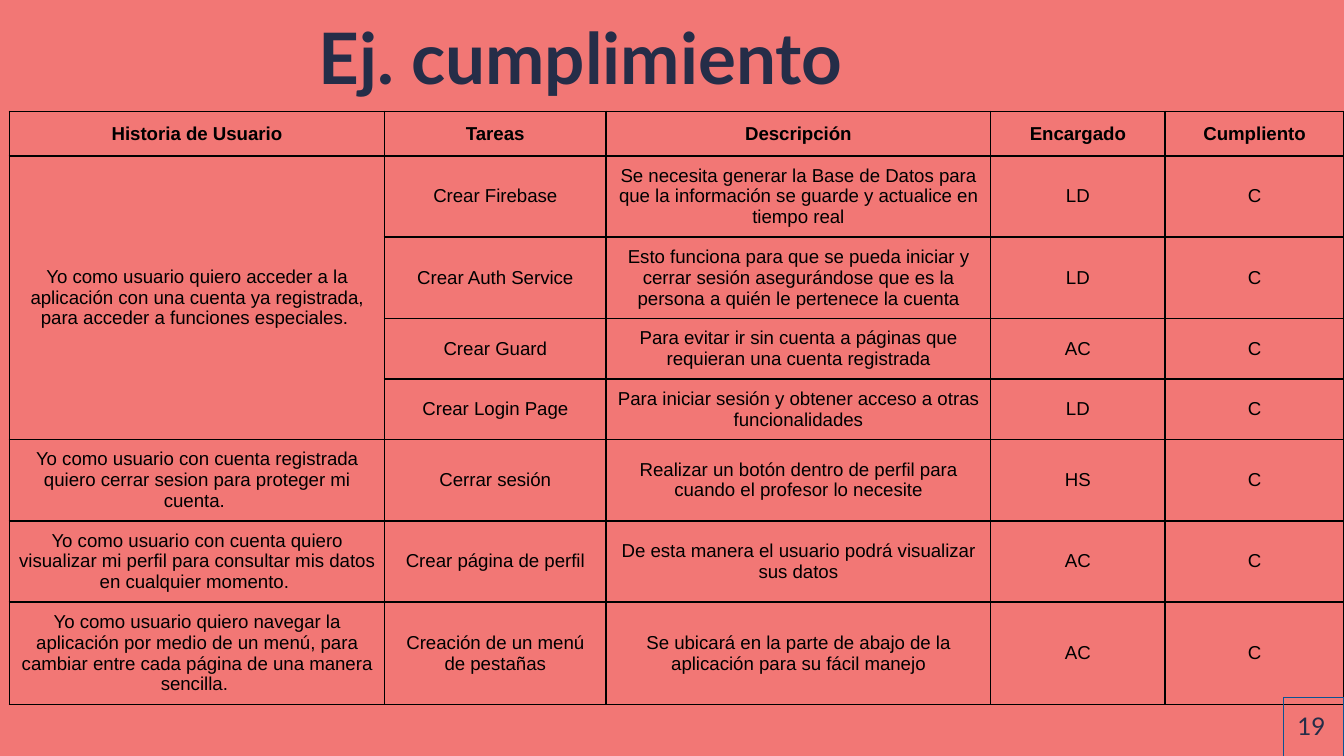
from dataclasses import dataclass

import lxml.etree
import pptx
import pptx.dml.color
import pptx.enum.shapes
import pptx.enum.text
import pptx.oxml.ns
import pptx.util

Inches = pptx.util.Inches
Align = pptx.enum.text.PP_ALIGN
Anchor = pptx.enum.text.MSO_ANCHOR

CORAL, NAVY, BLUE, BLACK = "F27775", "252D48", "0B5394", "000000"


@dataclass
class Task:
    story: str  # empty when the story above continues
    name: str
    description: str
    owner: str
    height: float
    status: str = "C"


HEADERS = ["Historia de Usuario", "Tareas", "Descripción", "Encargado", "Cumpliento"]
HEADER_HEIGHT = 0.33
COLUMN_WIDTHS = [2.79, 1.65, 2.86, 1.3, 1.33]
TASKS = [
    Task("Yo como usuario quiero acceder a la aplicación con una cuenta ya registrada, "
         "para acceder a funciones especiales. ",
         "Crear Firebase",
         "Se necesita generar la Base de Datos para que la información se guarde y "
         "actualice en tiempo real", "LD", 0.6),
    Task("", "Crear Auth Service",
         "Esto funciona para que se pueda iniciar y cerrar sesión asegurándose que es "
         "la persona a quién le pertenece la cuenta", "LD", 0.6),
    Task("", "Crear Guard",
         "Para evitar ir sin cuenta a páginas que requieran una cuenta registrada",
         "AC", 0.45),
    Task("", "Crear Login Page",
         "Para iniciar sesión y obtener acceso a otras funcionalidades", "LD", 0.45),
    Task("Yo como usuario con cuenta registrada quiero cerrar sesion para proteger mi "
         "cuenta. ",
         "Cerrar sesión",
         "Realizar un botón dentro de perfil para cuando el profesor lo necesite",
         "HS", 0.6),
    Task("Yo como usuario con cuenta quiero visualizar mi perfil para consultar mis "
         "datos en cualquier momento. ",
         "Crear página de perfil",
         "De esta manera el usuario podrá visualizar sus datos", "AC", 0.6),
    Task("Yo como usuario quiero navegar la aplicación por medio de un menú, para "
         "cambiar entre cada página de una manera sencilla. ",
         "Creación de un menú de pestañas",
         "Se ubicará en la parte de abajo de la aplicación para su fácil manejo",
         "AC", 0.76),
]


def color(value: str) -> pptx.dml.color.RGBColor:
    return pptx.dml.color.RGBColor.from_string(value)


def write(frame, text: str, size: float, font: str, ink: str, align, bold=False) -> None:
    frame.text = text
    para = frame.paragraphs[0]
    para.alignment = align
    for span in para.runs:
        span.font.size = pptx.util.Pt(size)
        span.font.name = font
        span.font.bold = bold
        span.font.color.rgb = color(ink)


def place(box, left: float, top: float, width: float, height: float) -> None:
    box.left, box.top = Inches(left), Inches(top)
    box.width, box.height = Inches(width), Inches(height)


def set_up_frame(frame) -> None:
    frame.word_wrap = True
    frame.auto_size = pptx.enum.text.MSO_AUTO_SIZE.NONE
    frame.vertical_anchor = Anchor.TOP
    frame.margin_left = frame.margin_right = Inches(0.1)
    frame.margin_top = frame.margin_bottom = Inches(0.1)


def add_borders(cell) -> None:
    qn = pptx.oxml.ns.qn
    properties = cell._tc.get_or_add_tcPr()
    for side in ("lnL", "lnR", "lnT", "lnB"):
        line = lxml.etree.SubElement(properties, qn(f"a:{side}"), w=str(pptx.util.Pt(1)))
        fill = lxml.etree.SubElement(line, qn("a:solidFill"))
        lxml.etree.SubElement(fill, qn("a:srgbClr"), val=BLACK)


def format_cell(cell, text: str, bold: bool) -> None:
    add_borders(cell)
    cell.fill.background()
    cell.vertical_anchor = Anchor.MIDDLE
    cell.margin_left = cell.margin_right = Inches(0.07)
    cell.margin_top = cell.margin_bottom = Inches(0.07)
    write(cell.text_frame, text, 10, "Arial", BLACK, Align.CENTER, bold)


def add_task_table(page) -> None:
    rows = [HEADERS] + [[t.story, t.name, t.description, t.owner, t.status] for t in TASKS]
    heights = [HEADER_HEIGHT] + [task.height for task in TASKS]
    table = page.shapes.add_table(
        len(rows), len(HEADERS), Inches(0.07), Inches(0.83),
        Inches(sum(COLUMN_WIDTHS)), Inches(sum(heights))).table
    table.first_row = table.horz_banding = False
    for column, width in zip(table.columns, COLUMN_WIDTHS):
        column.width = Inches(width)
    for i, (texts, height) in enumerate(zip(rows, heights)):
        table.rows[i].height = Inches(height)
        for j, text in enumerate(texts):
            format_cell(table.cell(i, j), text, bold=i == 0)

    # Each story spans the tasks that belong to it
    starts = [i for i, row in enumerate(rows) if row[0]] + [len(rows)]
    for start, end in zip(starts, starts[1:]):
        if end - start > 1:
            table.cell(start, 0).merge(table.cell(end - 1, 0))


def main() -> None:
    # Widescreen page, 16 to 9
    deck = pptx.Presentation()
    deck.slide_width = Inches(10)
    deck.slide_height = deck.slide_width * 9 // 16
    page = deck.slides.add_slide(deck.slide_layouts[5])
    page.background.fill.solid()
    page.background.fill.fore_color.rgb = color(CORAL)

    # Title
    title = page.shapes.title
    place(title, 2.27, 0, 6.58, 1.12)
    set_up_frame(title.text_frame)
    write(title.text_frame, "Ej. cumplimiento", 38, "Lato", NAVY, Align.LEFT, bold=True)

    add_task_table(page)

    # Page number with its corner frame
    corner = page.shapes.add_shape(
        pptx.enum.shapes.MSO_SHAPE.RECTANGLE,
        Inches(9.55), Inches(5.19), Inches(0.45), Inches(1.33))
    corner.shadow.inherit = False
    corner.fill.background()
    corner.line.color.rgb = color(BLUE)
    corner.line.width = pptx.util.Pt(0.75)

    number = page.shapes.add_textbox(Inches(9.36), Inches(5.19), Inches(0.6), Inches(0.43))
    set_up_frame(number.text_frame)
    write(number.text_frame, "19", 13, "Lato", NAVY, Align.RIGHT)

    deck.save("out.pptx")


if __name__ == "__main__":
    main()
